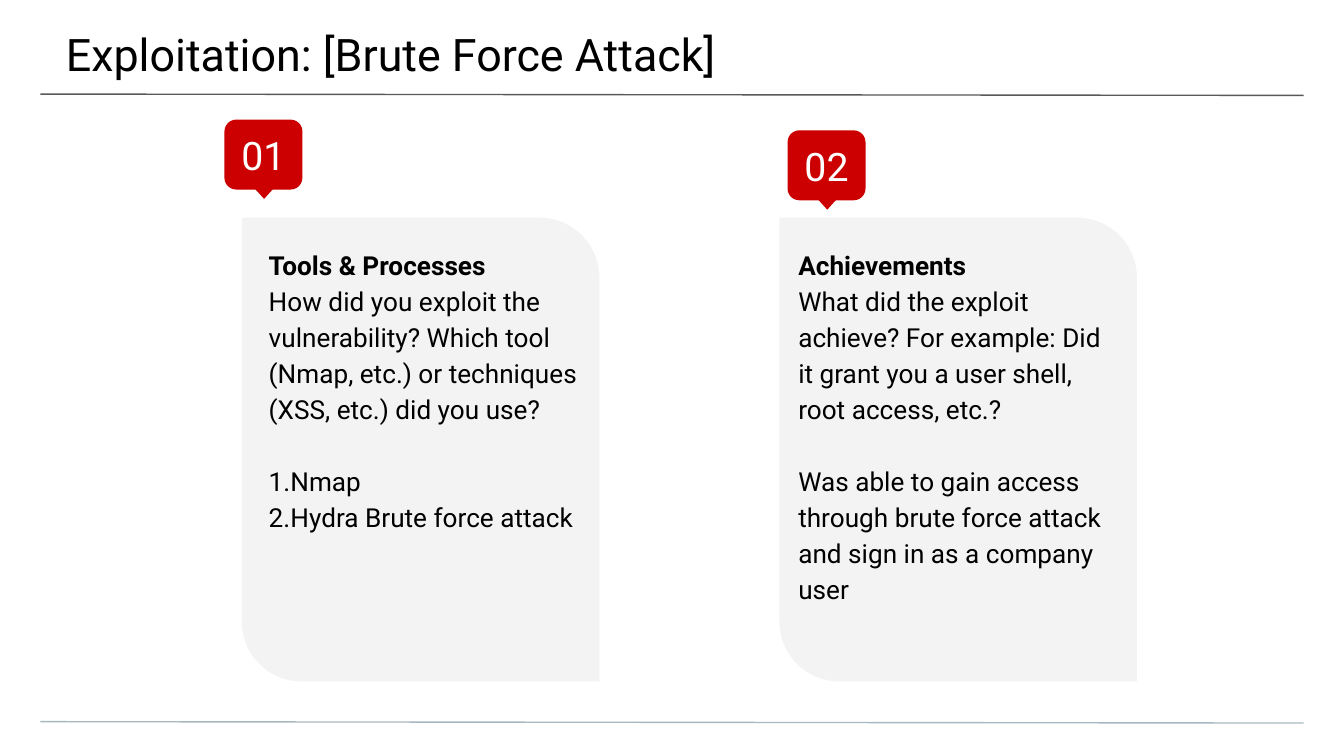
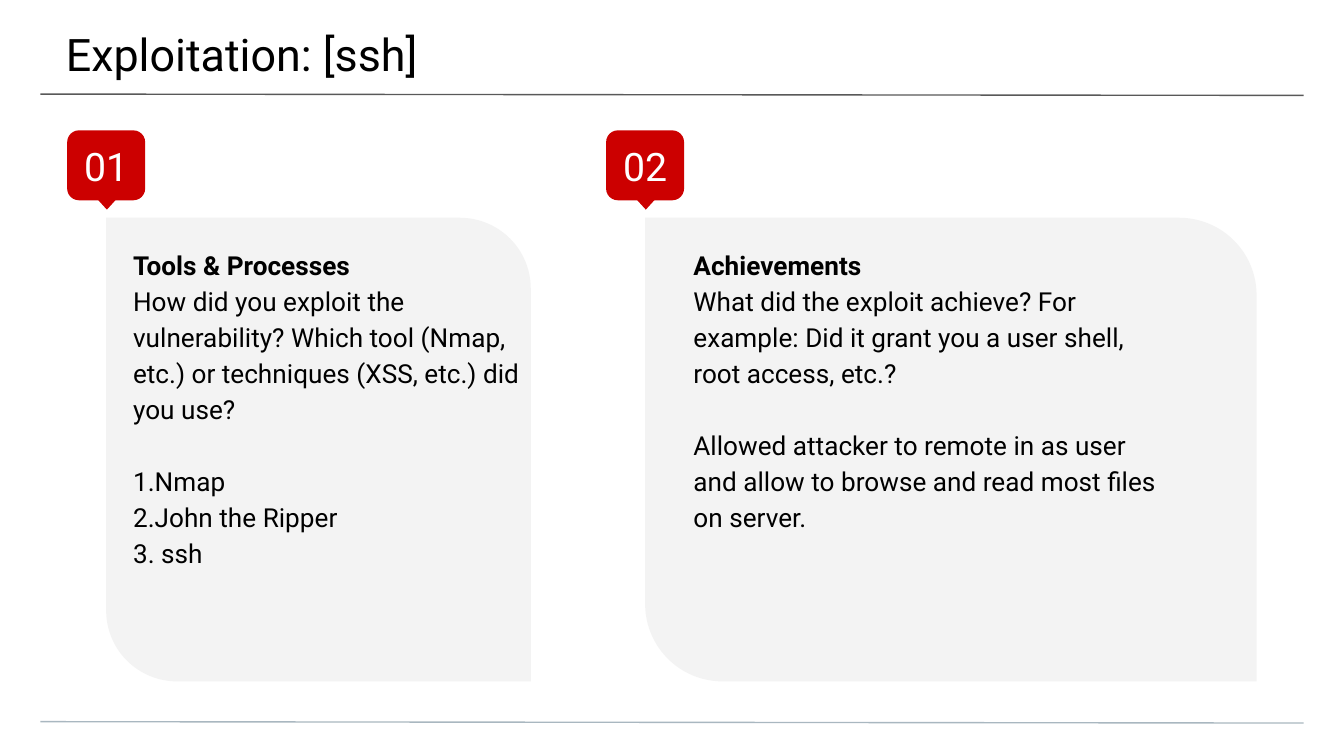
import pptx
import pptx.util
from lxml import etree
from pptx.dml.color import RGBColor
from pptx.enum.shapes import MSO_CONNECTOR, MSO_SHAPE
from pptx.enum.text import MSO_ANCHOR, MSO_AUTO_SIZE, PP_ALIGN
from pptx.oxml.ns import qn
from pptx.util import Inches, Pt


class Theme:
    font = "Roboto"
    text, white, red, panel = "000000", "FFFFFF", "CC0000", "F3F3F3"
    head_rule, foot_rule = "595959", "A9B7C0"
    title_size, badge_size, body_size = 24, 21, 14
    line_spacing, block_gap = 1.15, 19.3


# Content: panel and text are (left, width), badge is (left, top)
TOOLS_QUESTION = ("How did you exploit the vulnerability? Which tool (Nmap, etc.) "
                  "or techniques (XSS, etc.) did you use?")
GAINS_QUESTION = ("What did the exploit achieve? For example: Did it grant you "
                  "a user shell, root access, etc.?")

SLIDES = [
    {"title": "Exploitation: [Brute Force Attack]", "cards": [
        {"panel": (1.8, 2.66), "text": (1.8, 2.97), "badge": (1.67, 0.89),
         "head": "Tools & Processes", "question": TOOLS_QUESTION,
         "answers": ["1.Nmap", "2.Hydra Brute force attack"]},
        {"panel": (5.8, 2.66), "text": (5.74, 2.66), "badge": (5.86, 0.97),
         "head": "Achievements", "question": GAINS_QUESTION,
         "answers": ["Was able to gain access through brute force attack "
                     "and sign in as a company user"]},
    ]},
    {"title": "Exploitation: [ssh]", "cards": [
        {"panel": (0.79, 3.16), "text": (0.79, 3.29), "badge": (0.5, 0.97),
         "head": "Tools & Processes", "question": TOOLS_QUESTION,
         "answers": ["1.Nmap", "2.John the Ripper", "3. ssh"]},
        {"panel": (4.8, 4.55), "text": (4.96, 3.9), "badge": (4.51, 0.97),
         "head": "Achievements", "question": GAINS_QUESTION,
         "answers": ["Allowed attacker to remote in as user and allow to browse "
                     "and read most files on server."]},
    ]},
]

CARD_TOP, CARD_HEIGHT = 1.62, 3.45


# Helpers
def set_frame(tf, insets, anchor=MSO_ANCHOR.TOP):
    tf.word_wrap = True
    tf.auto_size = MSO_AUTO_SIZE.NONE
    tf.vertical_anchor = anchor
    tf.margin_left, tf.margin_top, tf.margin_right, tf.margin_bottom = map(Inches, insets)


def write(p, text, size=Theme.body_size, color=Theme.text, bold=False,
          align=PP_ALIGN.LEFT, spacing=1.0, before=0):
    p.alignment, p.line_spacing, p.space_before = align, spacing, Pt(before)
    r = p.add_run()
    r.text = text
    r.font.name, r.font.size, r.font.bold = Theme.font, Pt(size), bold
    r.font.color.rgb = RGBColor.from_string(color)


def add_block(shapes, kind, left, top, width, height, fill):
    sp = shapes.add_shape(kind, *map(Inches, (left, top, width, height)))
    sp.shadow.inherit = False
    sp.fill.solid()
    sp.fill.fore_color.rgb = RGBColor.from_string(fill)
    sp.line.fill.background()
    return sp


def add_rule(s, top, color):
    line = s.shapes.add_connector(MSO_CONNECTOR.STRAIGHT, Inches(0.3), Inches(top),
                                  Inches(9.7), Inches(top + 0.01))
    line.line.color.rgb = RGBColor.from_string(color)
    line.line.width = Pt(0.75)
    etree.SubElement(line.element.spPr, qn("a:effectLst"))


# Slide parts
def add_title(s, text):
    title = s.shapes.title
    title.left, title.top, title.width, title.height = map(Inches, (-0.01, 0, 10.03, 0.58))
    set_frame(title.text_frame, (0.5, 0.2, 0.3, 0.1))
    write(title.text_frame.paragraphs[0], text, size=Theme.title_size)


def add_badge(s, left, top, number):
    group = s.shapes.add_group_shape()
    box = add_block(group.shapes, MSO_SHAPE.ROUNDED_RECTANGLE,
                    left, top, 0.58, 0.52, Theme.red)
    box.adjustments[0] = 0.167
    set_frame(box.text_frame, (0.1,) * 4, MSO_ANCHOR.MIDDLE)
    write(box.text_frame.paragraphs[0], f"{number:02}", size=Theme.badge_size,
          color=Theme.white, align=PP_ALIGN.CENTER)
    pointer = add_block(group.shapes, MSO_SHAPE.FLOWCHART_EXTRACT,
                        left + 0.15, top + 0.43, 0.29, 0.16, Theme.red)
    pointer.rotation = 180


def add_card(s, card, number):
    left, width = card["panel"]
    panel = add_block(s.shapes, MSO_SHAPE.ROUND_2_DIAG_RECTANGLE,
                      left, CARD_TOP, width, CARD_HEIGHT, Theme.panel)
    panel.adjustments[0], panel.adjustments[1] = 0, 0.167

    left, width = card["text"]
    tf = s.shapes.add_textbox(*map(Inches, (left, CARD_TOP, width, CARD_HEIGHT))).text_frame
    set_frame(tf, (0.2,) * 4)
    write(tf.paragraphs[0], card["head"], bold=True, spacing=Theme.line_spacing)
    write(tf.add_paragraph(), card["question"], spacing=Theme.line_spacing)
    for i, answer in enumerate(card["answers"]):
        write(tf.add_paragraph(), answer, spacing=Theme.line_spacing,
              before=0 if i else Theme.block_gap)

    add_badge(s, *card["badge"], number)


def main():
    prs = pptx.Presentation()
    prs.slide_width = Inches(10)
    prs.slide_height = prs.slide_width * 9 // 16
    title_only = prs.slide_layouts[5]
    for content in SLIDES:
        s = prs.slides.add_slide(title_only)
        add_rule(s, 0.7, Theme.head_rule)
        add_rule(s, 5.37, Theme.foot_rule)
        add_title(s, content["title"])
        for number, card in enumerate(content["cards"], start=1):
            add_card(s, card, number)
    prs.save("out.pptx")


if __name__ == "__main__":
    main()
